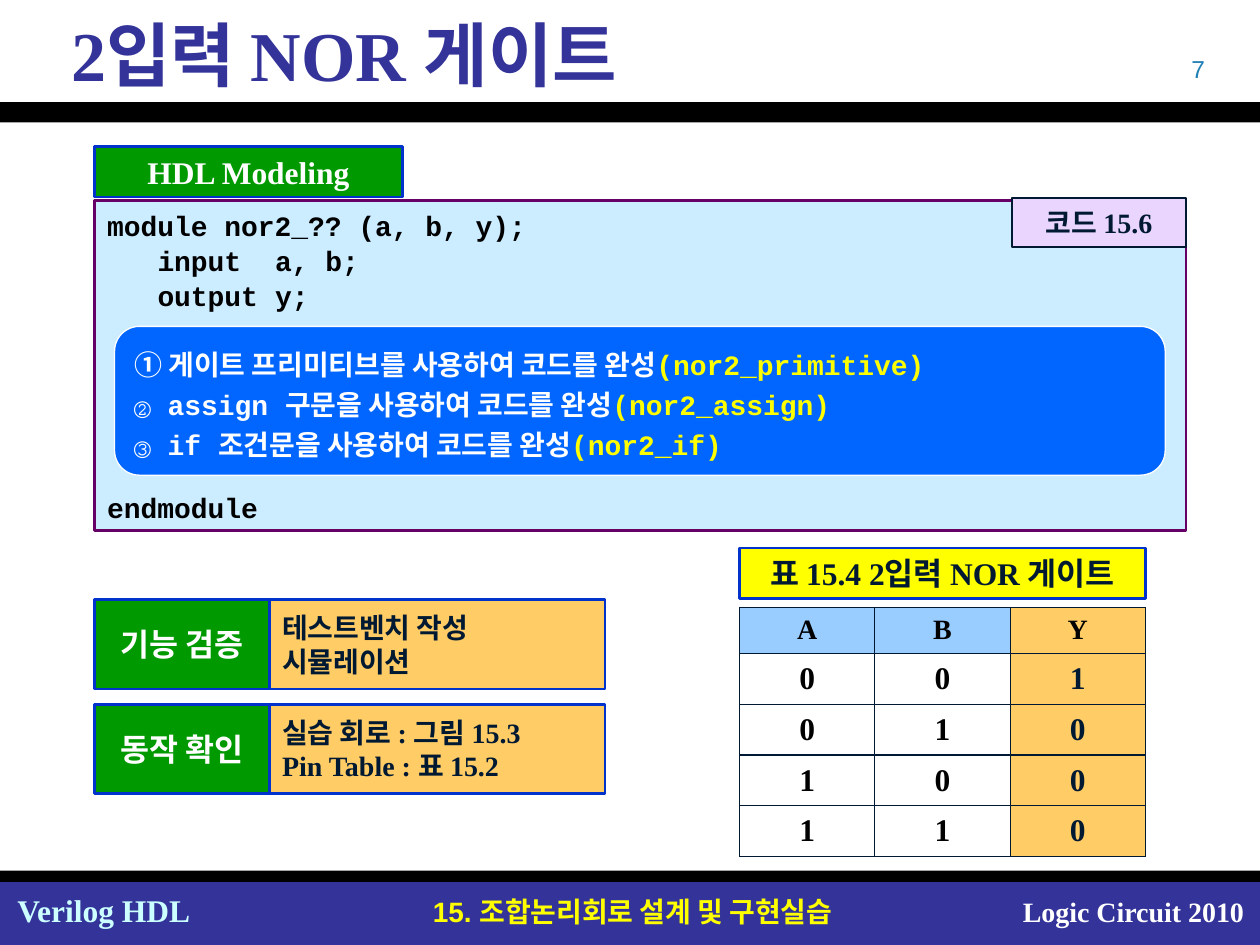
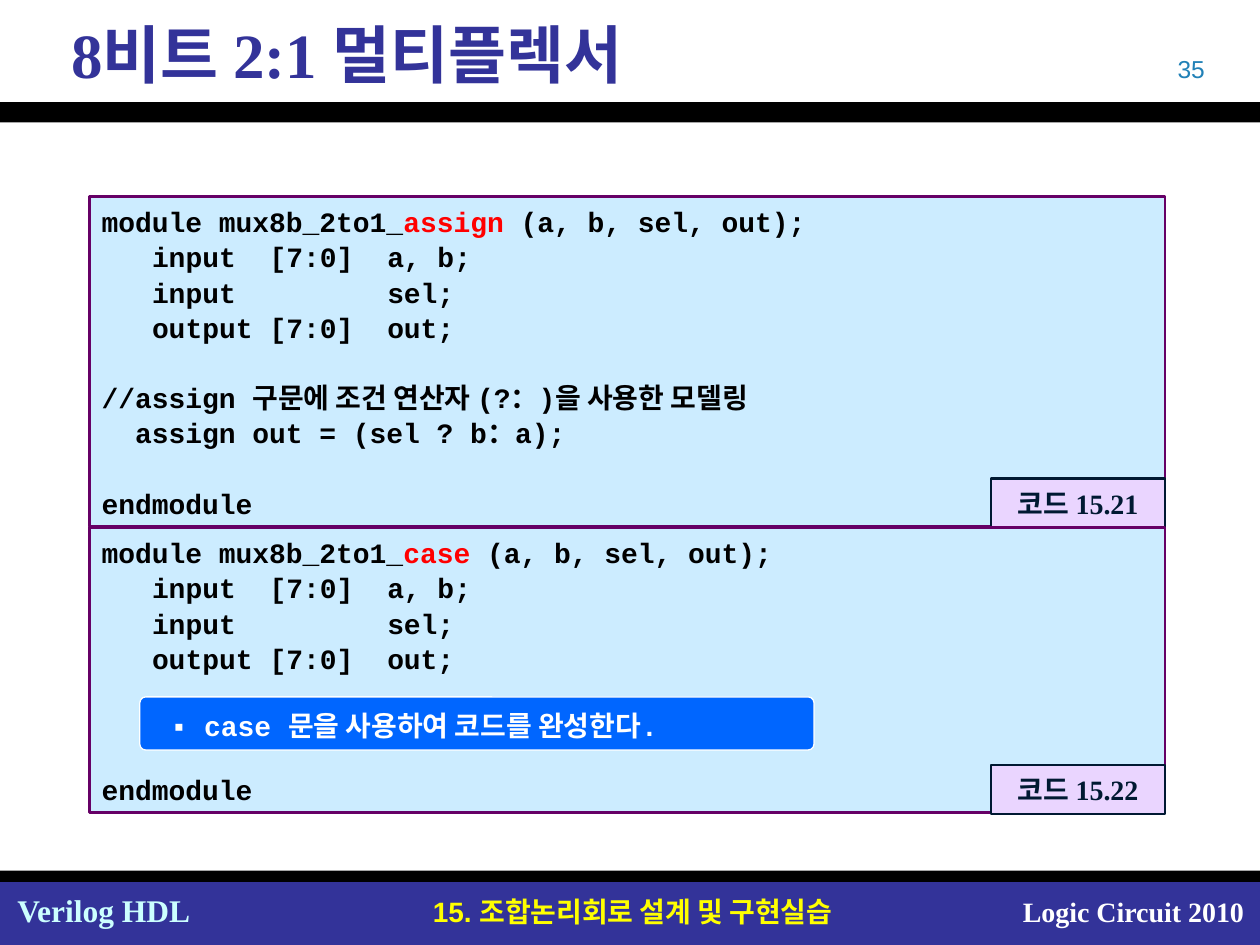
from lxml.etree import SubElement as Sub
from pptx import Presentation
from pptx.dml.color import RGBColor
from pptx.enum.shapes import MSO_SHAPE as Form
from pptx.enum.text import MSO_ANCHOR as Anchor, PP_ALIGN as Align
from pptx.oxml.ns import qn
from pptx.util import Cm, Pt

hue = RGBColor.from_string
SERIF, SANS, MONO, HANGUL = "Times New Roman", "Arial", "Courier New", "Noto Sans CJK KR"
NAVY, BLACK, WHITE, YELLOW, RED = "333399", "000000", "FFFFFF", "FFFF00", "FF0000"
INK, GREEN, BLUE, AMBER = "001932", "009900", "0033CC", "FFCC66"
SKY, PLUM, LILAC, AZURE = "CCECFF", "660066", "EAD5FF", "0066FF"
CHAR = 0.3387
STOPS = [3, 10, 17]


def box(page, x, y, w, h, fill=None, edge=None, weight=1.5, form=Form.RECTANGLE, bend=None):
    area = Cm(x), Cm(y), Cm(w), Cm(h)
    if fill:
        shape = page.shapes.add_shape(form, *area)
        shape.shadow.inherit = False
        shape.fill.solid()
        shape.fill.fore_color.rgb = hue(fill)
        if edge:
            shape.line.color.rgb = hue(edge)
            shape.line.width = Pt(weight)
        else:
            shape.line.fill.background()
        if bend:
            shape.adjustments[0] = bend
    else:
        shape = page.shapes.add_textbox(*area)
    frame = shape.text_frame
    frame.word_wrap = True
    frame.vertical_anchor = Anchor.MIDDLE
    return frame


def say(frame, text, size=16, font=SERIF, color=INK, bold=True, align=Align.LEFT,
        lead=None, gap=0, indent=0):
    para = frame.paragraphs[0] if not frame.text else frame.add_paragraph()
    para.alignment = align
    para.space_before = Pt(gap)
    if lead:
        para.line_spacing = lead
    runs = [(text, color)] if isinstance(text, str) else text
    props = para._p.get_or_add_pPr()
    if indent:
        props.set("marL", str(Cm(indent)))
    if any("\t" in part for part, _ in runs):
        tabs = Sub(props, qn("a:tabLst"))
        for stop in STOPS:
            Sub(tabs, qn("a:tab"), pos=str(Cm(stop * CHAR)), algn="l")
    for part, tone in runs:
        run = para.add_run()
        run.text = part
        run.font.size = Pt(size)
        run.font.bold = bold
        run.font.name = font
        run.font.color.rgb = hue(tone)
        Sub(run.font._element, qn("a:ea"), typeface=HANGUL)


deck = Presentation()
deck.slide_width, deck.slide_height = Cm(25.4), Cm(19.05)
pages = []
for title, size, number in [("2입력 NOR 게이트", 40, "7"), ("8비트 2:1 멀티플렉서", 36, "35")]:
    page = deck.slides.add_slide(deck.slide_layouts[6])
    pages.append(page)
    for top, high, fill in [(17.78, 1.27, NAVY), (2.06, 0.41, BLACK), (17.55, 0.23, BLACK)]:
        box(page, 0, top, 25.4, high, fill)
    say(box(page, 7.8, 17.91, 9.91, 0.94), "15. 조합논리회로 설계 및 구현실습",
        font=SANS, color=YELLOW, align=Align.CENTER)
    say(box(page, 20.02, 17.91, 5.31, 0.94), "Logic Circuit 2010", color=WHITE, align=Align.RIGHT)
    left = box(page, 0.1, 17.83, 4.01, 1.02)
    left.margin_right = Cm(0.05)
    say(left, "Verilog HDL", size=18, color="CCFFFF")
    say(box(page, 18.62, 0.97, 5.92, 0.84), number, size=14, font=SANS, color="2181B7",
        bold=False, align=Align.RIGHT)
    say(box(page, 0.43, 0.25, 24.56, 1.65), title, size=size, color=NAVY, indent=0.76)

nor, mux = pages
ports = ["\tinput\t[7:0]\ta, b;", "\tinput\t\tsel;", "\toutput\t[7:0]\tout;"]
END = "endmodule"
codes = [
    (nor, 1.91, 4.04, 22, 6.65, 3.99, "코드 15.6", [
        ("module nor2_?? (a, b, y);", 0, 0),
        ("\tinput\ta, b;", 0, 0),
        ("\toutput\ty;", 0, 0),
        (END, 101, 0)]),
    (mux, 1.8, 3.96, 21.69, 6.65, 9.65, "코드 15.21", [
        ([("module mux8b_2to1_", BLACK), ("assign", RED), (" (a, b, sel, out);", BLACK)], 0, 0),
        *[(port, 0, 0) for port in ports],
        ("//assign 구문에 조건 연산자 (?：)을 사용한 모델링", 20, 0),
        ("assign out = (sel ? b：a);", 0, 2 * CHAR),
        (END, 20, 0)]),
    (mux, 1.8, 10.64, 21.69, 5.74, 15.42, "코드 15.22", [
        ([("module mux8b_2to1_", BLACK), ("case", RED), (" (a, b, sel, out);", BLACK)], 0, 0),
        *[(port, 0, 0) for port in ports],
        (END, 55, 0)]),
]
for page, x, y, w, h, top, tag, lines in codes:
    code = box(page, x, y, w, h, SKY, PLUM)
    for line, gap, indent in lines:
        say(code, line, font=MONO, color=BLACK, lead=1.05, gap=gap, indent=indent)
    say(box(page, x + w - 3.51, top, 3.51, 0.99, LILAC, INK), tag, align=Align.CENTER)

tasks = box(nor, 2.31, 6.58, 21.18, 3, AZURE, WHITE, 0.75, Form.ROUNDED_RECTANGLE, 0.167)
for task, name in [("① 게이트 프리미티브를 사용하여 코드를 완성", "(nor2_primitive)"),
                   ("② assign 구문을 사용하여 코드를 완성", "(nor2_assign)"),
                   ("③ if 조건문을 사용하여 코드를 완성", "(nor2_if)")]:
    say(tasks, [(task, WHITE), (name, YELLOW)], font=MONO, lead=1.2)
hint = box(mux, 2.82, 14.05, 13.59, 1.07, AZURE, WHITE, 0.75, Form.ROUNDED_RECTANGLE, 0.109)
say(hint, " ▪ case 문을 사용하여 코드를 완성한다.", font=MONO, color=WHITE, lead=1.1)

say(box(nor, 1.91, 2.95, 6.2, 1.02, GREEN, BLUE), "HDL Modeling", size=18, color=WHITE,
    align=Align.CENTER)
for top, head, lines in [(12.09, "기능 검증", ["테스트벤치 작성", "시뮬레이션"]),
                         (14.2, "동작 확인", ["실습 회로 : 그림 15.3", "Pin Table : 표 15.2"])]:
    steps = box(nor, 5.44, top, 6.76, 1.8, AMBER, BLUE)
    for line in lines:
        say(steps, line)
    say(box(nor, 1.91, top, 3.53, 1.8, GREEN, BLUE), head, size=18, font=HANGUL, color=WHITE,
        align=Align.CENTER)

say(box(nor, 14.91, 11.05, 8.18, 1.02, YELLOW, BLUE), "표 15.4 2입력 NOR 게이트", size=18,
    align=Align.CENTER)
truth = ["ABY", "001", "010", "100", "110"]
grid = nor.shapes.add_table(5, 3, Cm(14.91), Cm(12.24), Cm(8.18), Cm(5)).table
grid.first_row = grid.horz_banding = False
for col in grid.columns:
    col.width = Cm(8.18 / 3)
for r, row in enumerate(truth):
    grid.rows[r].height = Cm(1.02 if r else 0.94)
    for c, mark in enumerate(row):
        cell = grid.cell(r, c)
        cell.vertical_anchor = Anchor.MIDDLE
        props = cell._tc.get_or_add_tcPr()
        for side in "LRTB":
            edge = Sub(props, qn("a:ln" + side), w=str(Pt(0.75)))
            Sub(Sub(edge, qn("a:solidFill")), qn("a:srgbClr"), val=INK)
        fill = AMBER if c == 2 else None if r else "99CCFF"
        if fill:
            cell.fill.solid()
            cell.fill.fore_color.rgb = hue(fill)
        else:
            cell.fill.background()
        say(cell.text_frame, mark, size=18 if r else 16, color=INK if r and c == 2 else BLACK,
            align=Align.CENTER)

deck.save("out.pptx")
